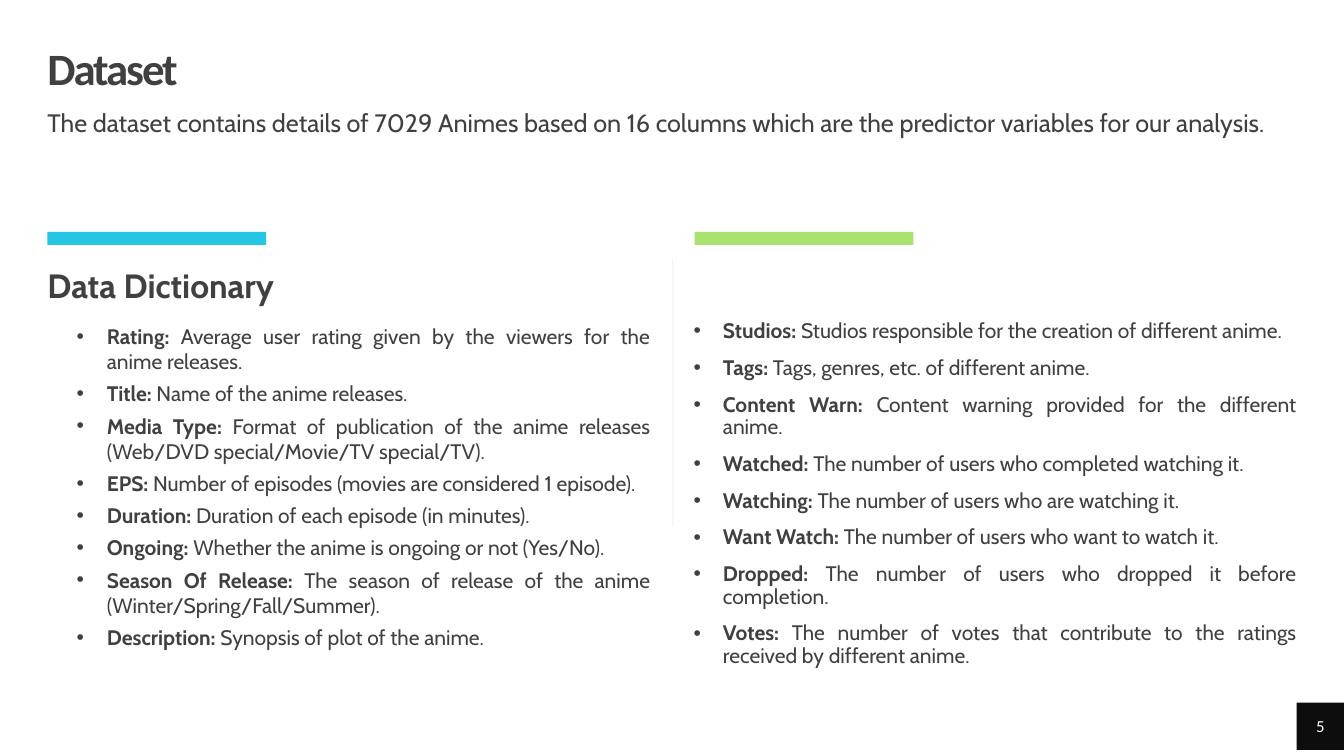
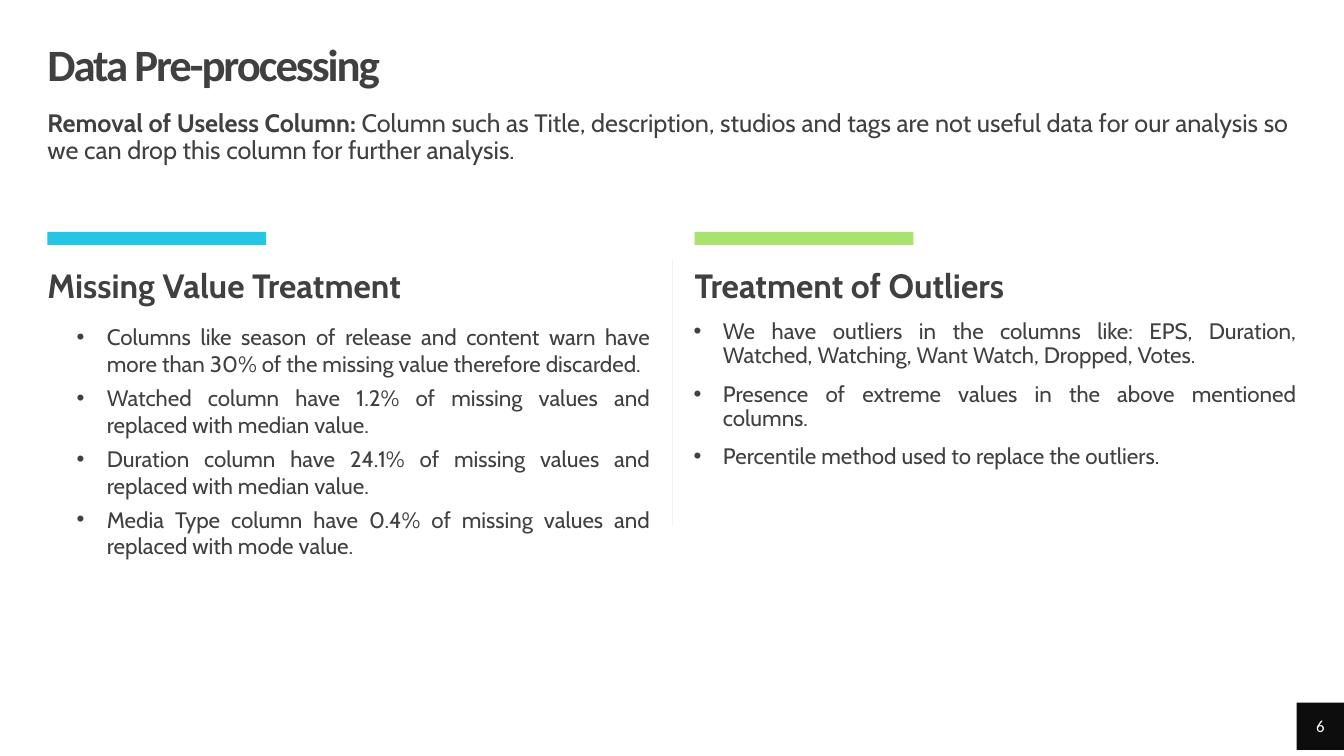
"""Build two slides on an anime dataset: its data dictionary and its pre-processing."""
from dataclasses import dataclass

from lxml import etree
from pptx import Presentation
from pptx.dml.color import RGBColor
from pptx.enum.shapes import MSO_CONNECTOR, MSO_SHAPE
from pptx.enum.text import MSO_ANCHOR, PP_ALIGN
from pptx.oxml.ns import qn
from pptx.util import Inches, Pt

RECTANGLE = MSO_SHAPE.RECTANGLE
STRAIGHT = MSO_CONNECTOR.STRAIGHT
TOP, MIDDLE = MSO_ANCHOR.TOP, MSO_ANCHOR.MIDDLE
CENTER, JUSTIFY = PP_ALIGN.CENTER, PP_ALIGN.JUSTIFY


@dataclass(frozen=True)
class Theme:
    ink: str = "404040"
    white: str = "FFFFFF"
    badge: str = "0D0D0D"
    divider: str = "F2F2F2"
    accents: tuple = ("25C6E3", "A9E26F")
    title_font: str = "Calibri"
    body_font: str = "Cabin"
    title_size: int = 32
    heading_size: int = 24
    intro_size: int = 18
    badge_size: int = 12
    title_tracking: int = -150


THEME = Theme()
MARGIN = 0.47
COLUMN_WIDTH = 5.98
COLUMN_LEFTS = (MARGIN, 6.89)
LISTS = (
    {"box": (MARGIN, 3.21, COLUMN_WIDTH, 3.74), "level": 1, "indent": (0.59, -0.3),
     "before": 5, "spacing": 1.0},
    {"box": (6.88, 3.18, COLUMN_WIDTH, 3.66), "level": 0, "indent": (0.29, -0.29),
     "before": 10, "spacing": 0.9},
)

SLIDES = [
    {
        "number": 5,
        "title": "Dataset",
        "title_top": 0.47,
        "intro": ("", "The dataset contains details of 7029 Animes based on 16 columns "
                      "which are the predictor variables for our analysis."),
        "intro_height": 0.39,
        "list_size": 15,
        "columns": [
            ("Data Dictionary", [
                ("Rating:", " Average user rating given by the viewers for the anime releases."),
                ("Title:", " Name of the anime releases."),
                ("Media Type:", " Format of publication of the anime releases "
                                "(Web/DVD special/Movie/TV special/TV)."),
                ("EPS:", " Number of episodes (movies are considered 1 episode)."),
                ("Duration:", " Duration of each episode (in minutes)."),
                ("Ongoing:", " Whether the anime is ongoing or not (Yes/No)."),
                ("Season Of Release:", " The season of release of the anime "
                                       "(Winter/Spring/Fall/Summer)."),
                ("Description:", " Synopsis of plot of the anime."),
            ]),
            ("", [
                ("Studios:", " Studios responsible for the creation of different anime."),
                ("Tags:", " Tags, genres, etc. of different anime."),
                ("Content Warn:", " Content warning provided for the different anime."),
                ("Watched:", " The number of users who completed watching it."),
                ("Watching:", " The number of users who are watching it."),
                ("Want Watch:", " The number of users who want to watch it."),
                ("Dropped:", " The number of users who dropped it before completion."),
                ("Votes:", " The number of votes that contribute to the ratings "
                           "received by different anime."),
            ]),
        ],
    },
    {
        "number": 6,
        "title": "Data Pre-processing",
        "title_top": 0.43,
        "intro": ("Removal of Useless Column:",
                  " Column such as Title, description, studios and tags are not useful data "
                  "for our analysis so we can drop this column for further analysis."),
        "intro_height": 0.79,
        "list_size": 16,
        "columns": [
            ("Missing Value Treatment", [
                ("", "Columns like season of release and content warn have more than 30% "
                     "of the missing value therefore discarded."),
                ("", "Watched column have 1.2% of missing values and replaced with median value."),
                ("", "Duration column have 24.1% of missing values and replaced with median value."),
                ("", "Media Type column have 0.4% of missing values and replaced with mode value."),
            ]),
            ("Treatment of Outliers", [
                ("", "We have outliers in the columns like: EPS, Duration, Watched, Watching, "
                     "Want Watch, Dropped, Votes."),
                ("", "Presence of extreme values in the above mentioned columns."),
                ("", "Percentile method used to replace the outliers."),
            ]),
        ],
    },
]


def add_block(slide, box, color):
    block = slide.shapes.add_shape(RECTANGLE, *map(Inches, box))
    block.shadow.inherit = False
    block.fill.solid()
    block.fill.fore_color.rgb = RGBColor.from_string(color)
    block.line.fill.background()
    return block


def write(frame, entries, size, font=THEME.body_font, color=THEME.ink, anchor=TOP,
          align=None, before=10, spacing=0.9):
    frame.word_wrap = True
    frame.vertical_anchor = anchor
    frame.margin_left = frame.margin_top = frame.margin_right = frame.margin_bottom = 0
    for index, (term, detail) in enumerate(entries):
        paragraph = frame.add_paragraph() if index else frame.paragraphs[0]
        paragraph.alignment = align
        paragraph.space_before = Pt(before)
        paragraph.line_spacing = spacing
        for text, bold in ((term, True), (detail, False)):
            if text:
                run = paragraph.add_run()
                run.text = text
                run.font.name = font
                run.font.size = Pt(size)
                run.font.bold = bold
                run.font.color.rgb = RGBColor.from_string(color)
    return frame.paragraphs


deck = Presentation()
deck.slide_width, deck.slide_height = Inches(13.33), Inches(7.5)
blank = deck.slide_layouts[6]

for content in SLIDES:
    slide = deck.slides.add_slide(blank)
    shapes = slide.shapes

    title = shapes.add_textbox(*map(Inches, (MARGIN, content["title_top"], 12.4, 0.47)))
    title_line = write(title.text_frame, [(content["title"], "")], THEME.title_size,
                       font=THEME.title_font, anchor=MIDDLE, before=0)[0]
    title_line.runs[0].font._element.set("spc", str(THEME.title_tracking))

    intro = shapes.add_textbox(*map(Inches, (MARGIN, 1.1, 12.4, content["intro_height"])))
    write(intro.text_frame, [content["intro"]], THEME.intro_size)

    divider = shapes.add_connector(STRAIGHT, *map(Inches, (6.67, 2.58, 6.67, 5.22)))
    divider.line.color.rgb = RGBColor.from_string(THEME.divider)
    divider.line.width = Pt(0.5)
    etree.SubElement(divider._element.spPr, qn("a:effectLst"))

    for left, accent, layout, (heading, items) in zip(
            COLUMN_LEFTS, THEME.accents, LISTS, content["columns"]):
        add_block(slide, (left, 2.3, 2.17, 0.13), accent)
        if heading:
            column_heading = shapes.add_textbox(*map(Inches, (left, 2.67, COLUMN_WIDTH, 0.39)))
            write(column_heading.text_frame, [(heading, "")], THEME.heading_size)

        bullets = shapes.add_textbox(*map(Inches, layout["box"]))
        for paragraph in write(bullets.text_frame, items, content["list_size"], align=JUSTIFY,
                               before=layout["before"], spacing=layout["spacing"]):
            paragraph.level = layout["level"]
            properties = paragraph._p.get_or_add_pPr()
            for name, length in zip(("marL", "indent"), layout["indent"]):
                properties.set(name, str(Inches(length)))
            etree.SubElement(properties, qn("a:buFont"), typeface="Arial")
            etree.SubElement(properties, qn("a:buChar"), char="•")

    page_badge = add_block(slide, (12.86, 6.97, 0.47, 0.47), THEME.badge)
    write(page_badge.text_frame, [("", str(content["number"]))], THEME.badge_size,
          font=THEME.title_font, color=THEME.white, anchor=MIDDLE, align=CENTER,
          before=0, spacing=1.0)

deck.save("out.pptx")
